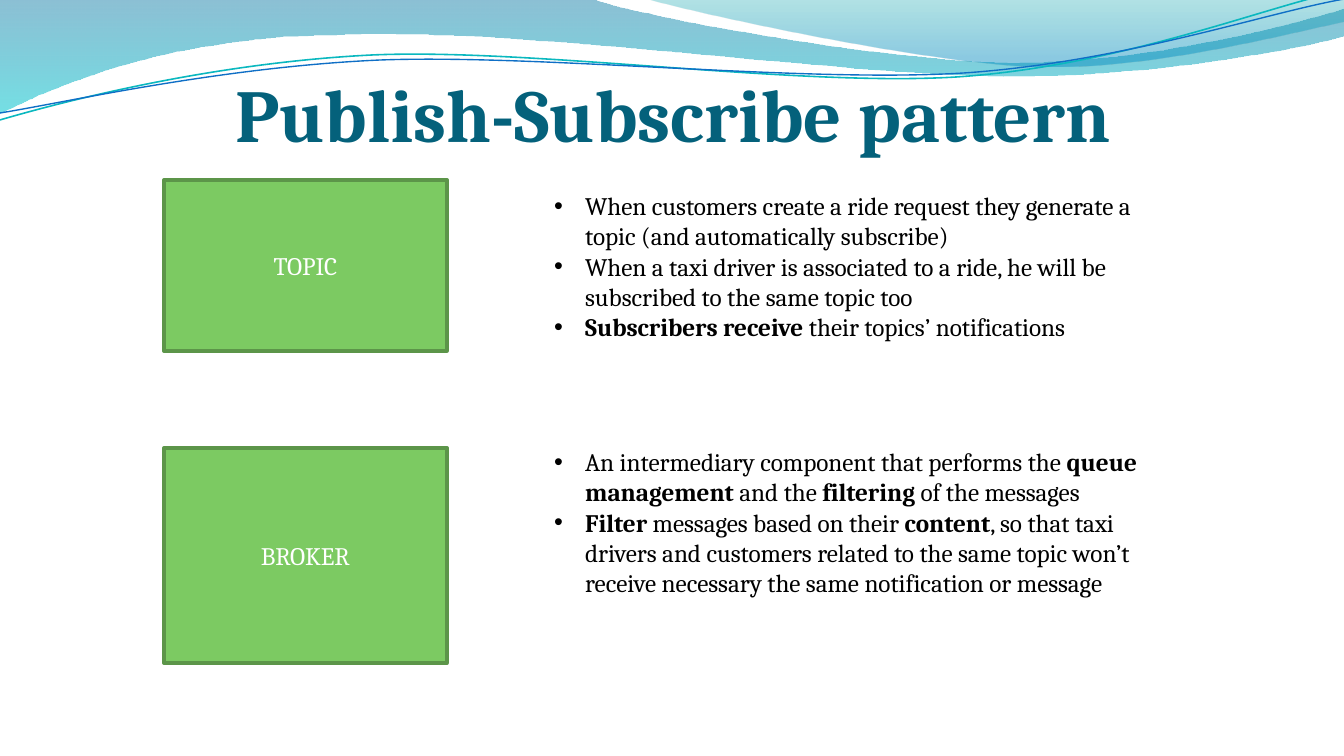
"""Build the Publish-Subscribe pattern slide."""
import math

from lxml import etree
from pptx import Presentation
from pptx import util as u
from pptx.dml.color import RGBColor
from pptx.enum import shapes, text
from pptx.oxml.ns import qn

PIXEL = 914400 / 134.4
FINE = 100
TILT = 2.7
FONT = "Cambria"


def px(*lengths):
    return [u.Emu(round(length * PIXEL)) for length in lengths]


def style(span, size, shade, bold=False):
    span.font.name, span.font.size, span.font.bold = FONT, u.Pt(size), bold
    span.font.color.rgb = RGBColor.from_string(shade)


deck = Presentation()
deck.slide_width, deck.slide_height = px(1344, 756)
page = deck.slides.add_slide(deck.slide_layouts[6])

waves = [
    ([(0, 0), (591, -1), (640, 17, 892, 63, 1019, 63), (1146, 63, 1288, 26, 1344, 9),
      (1345, 36), (1321, 44, 1169, 77, 1003, 77), (836, 75, 513, 28, 345, 35),
      (173, 36, 62, 83, -1, 114), (0, 0)],
     [(0, "0074A1", 45), (1, "00C6CF", 55)]),
    ([(644, -1), (684, 11, 917, 62, 1034, 66), (1150, 70, 1292, 32, 1344, 22),
      (1344, 0), (644, -1)],
     [(0, "00A1A9", 30), (0.8, "008BBF", 45)]),
    ([(0, 120), (65, 101, 212, 63, 372, 55), (532, 48, 796, 87, 957, 77),
      (1120, 66, 1262, 8, 1341, -9)], ("0AB8BF", 0.85, 58)),
    ([(0, 113), (63, 103, 220, 67, 380, 60), (542, 54, 802, 83, 964, 73),
      (1124, 62, 1265, 13, 1344, -1)], ("0F6FC6", 0.75, 60)),
]
for segments, paint in waves:
    filled = isinstance(paint, list)
    points = [segment[i:i + 2] for segment in segments for i in range(0, len(segment), 2)]
    if not filled:
        shade, weight, middle = paint
        cos, sin = math.cos(math.radians(TILT)), math.sin(math.radians(TILT))
        points = [(671 + (x - 671) * cos - (y - middle) * sin,
                   middle + (x - 671) * sin + (y - middle) * cos) for x, y in points]
    points = [(round(x * FINE), round(y * FINE)) for x, y in points]
    builder = page.shapes.build_freeform(*points[0], scale=PIXEL / FINE)
    builder.add_line_segments(points[1:], close=filled)
    wave = builder.convert_to_shape()
    wave.shadow.inherit = False

    steps = iter(list(wave._element.iter(qn("a:lnTo"))))
    for segment in segments[1:]:
        step = next(steps)
        if len(segment) == 6:
            curve = etree.Element(qn("a:cubicBezTo"))
            step.addprevious(curve)
            for corner in (step, next(steps), next(steps)):
                curve.append(corner[0])
                corner.getparent().remove(corner)

    if filled:
        wave.line.fill.background()
        wave.fill.gradient()
        wave.fill.gradient_angle = 270
        for stop, (position, shade, _) in zip(wave.fill.gradient_stops, paint):
            stop.position = position
            stop.color.rgb = RGBColor.from_string(shade)
        for node, (_, _, opacity) in zip(wave._element.iter(qn("a:srgbClr")), paint):
            etree.SubElement(node, qn("a:alpha"), val=str(opacity * 1000))
    else:
        wave.rotation = -TILT
        wave.fill.background()
        wave.line.color.rgb = RGBColor.from_string(shade)
        wave.line.width = u.Pt(weight)

for label, top, height in [("TOPIC", 180, 171), ("BROKER", 448, 215)]:
    box = page.shapes.add_shape(shapes.MSO_SHAPE.RECTANGLE, *px(164, top, 283, height))
    box.shadow.inherit = False
    box.fill.solid()
    box.fill.fore_color.rgb = RGBColor.from_string("7CCA62")
    box.line.color.rgb = RGBColor.from_string("5C9549")
    box.line.width = u.Pt(2)
    box.text_frame.text = label
    box.text_frame.vertical_anchor = text.MSO_ANCHOR.MIDDLE
    para = box.text_frame.paragraphs[0]
    para.alignment = text.PP_ALIGN.CENTER
    style(para.runs[0], 13.5, "FFFFFF")

notes = [
    ((541, 184, 644, 167), [
        [("When customers create a ride request they generate a topic "
          "(and automatically subscribe)", False)],
        [("When a taxi driver is associated to a ride, he will be subscribed "
          "to the same topic too", False)],
        [("Subscribers receive", True), (" their topics’ notifications", False)],
    ]),
    ((541, 440, 617, 227), [
        [("An intermediary component that performs the ", False), ("queue management ", True),
         ("and the ", False), ("filtering", True), (" of the messages", False)],
        [("Filter ", True), ("messages based on their ", False), ("content", True),
         (", so that taxi drivers and customers related to the same topic won’t "
          "receive necessary the same notification or message", False)],
    ]),
]
indent = px(31)[0]
for place, bullets in notes:
    frame = page.shapes.add_textbox(*px(*place)).text_frame
    frame.word_wrap = True
    for index, bullet in enumerate(bullets):
        para = frame.add_paragraph() if index else frame.paragraphs[0]
        props = para._p.get_or_add_pPr()
        props.set("marL", str(indent))
        props.set("indent", str(-indent))
        etree.SubElement(props, qn("a:buFont"), typeface="Arial")
        etree.SubElement(props, qn("a:buChar"), char="•")
        for words, bold in bullet:
            span = para.add_run()
            span.text = words
            style(span, 13.5, "000000", bold)

frame = page.shapes.add_textbox(*px(68, 31, 1210, 126)).text_frame
frame.word_wrap = True
frame.vertical_anchor = text.MSO_ANCHOR.BOTTOM
frame.margin_left = frame.margin_right = frame.margin_bottom = 0
frame.text = "Publish-Subscribe pattern"
para = frame.paragraphs[0]
para.alignment = text.PP_ALIGN.CENTER
style(para.runs[0], 40, "04617B", True)

deck.save("out.pptx")
